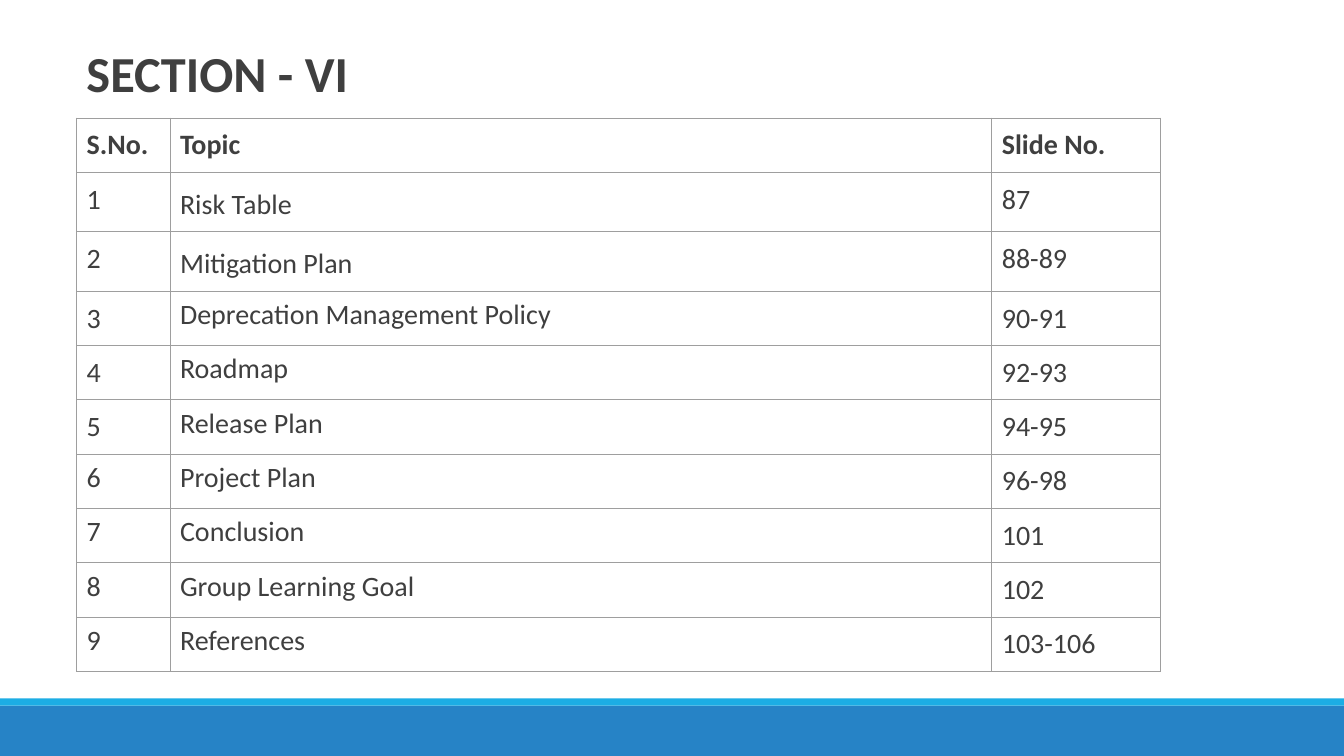
from dataclasses import dataclass

from lxml import etree
from pptx import Presentation
from pptx.dml.color import RGBColor
from pptx.enum.shapes import MSO_SHAPE
from pptx.enum.text import MSO_ANCHOR
from pptx.oxml.ns import qn
from pptx.slide import Slide
from pptx.table import _Cell
from pptx.text.text import TextFrame
from pptx.util import Pt

RECTANGLE = MSO_SHAPE.RECTANGLE
TOP, BOTTOM = MSO_ANCHOR.TOP, MSO_ANCHOR.BOTTOM

WHITE = RGBColor(0xFF, 0xFF, 0xFF)
INK = RGBColor(0x3F, 0x3F, 0x3F)
GRID = RGBColor(0x9E, 0x9E, 0x9E)
BLUE = RGBColor(0x26, 0x83, 0xC6)
CYAN = RGBColor(0x1C, 0xAD, 0xE4)

FONT = "Calibri"
SLIDE_WIDTH, SLIDE_HEIGHT = 960, 540
LEFT = 54.7
TABLE_TOP = 84.3
COLUMN_WIDTHS = (66.7, 587, 120.5)
CELL_INSET = 7.2
ROW_HEIGHT, TALL_ROW_HEIGHT = 38.8, 42.5
TIGHT, SINGLE, LOOSE = 0.85, 1.0, 1.15


@dataclass(frozen=True)
class FooterBand:
    top: float
    height: float
    color: RGBColor


@dataclass(frozen=True)
class AgendaRow:
    number: str
    topic: str
    slides: str
    number_spacing: float = SINGLE
    topic_spacing: float = TIGHT
    bold: bool = False

    @property
    def height(self) -> float:
        return TALL_ROW_HEIGHT if self.topic_spacing == LOOSE else ROW_HEIGHT


FOOTER_BANDS = (
    FooterBand(504, 36, BLUE),
    FooterBand(498.8, 5.2, CYAN),
)

AGENDA = (
    AgendaRow("S.No.", "Topic", "Slide No.", topic_spacing=SINGLE, bold=True),
    AgendaRow("1", "Risk Table", "87", topic_spacing=LOOSE),
    AgendaRow("2", "Mitigation Plan", "88-89", topic_spacing=LOOSE),
    AgendaRow("3", "Deprecation Management Policy", "90-91"),
    AgendaRow("4", "Roadmap", "92-93"),
    AgendaRow("5", "Release Plan", "94-95"),
    AgendaRow("6", "Project Plan", "96-98", number_spacing=TIGHT),
    AgendaRow("7", "Conclusion", "101", number_spacing=TIGHT),
    AgendaRow("8", "Group Learning Goal", "102", number_spacing=TIGHT),
    AgendaRow("9", "References", "103-106", number_spacing=TIGHT),
)


def write_text(frame: TextFrame, text: str, *, size: float = 20,
               bold: bool = False, spacing: float = SINGLE) -> None:
    paragraph = frame.paragraphs[0]
    paragraph.line_spacing = spacing
    run = paragraph.add_run()
    run.text = text
    run.font.name = FONT
    run.font.size = Pt(size)
    run.font.bold = bold
    run.font.color.rgb = INK


def draw_band(slide: Slide, band: FooterBand) -> None:
    shape = slide.shapes.add_shape(
        RECTANGLE, Pt(0), Pt(band.top), Pt(SLIDE_WIDTH), Pt(band.height))
    shape.shadow.inherit = False
    shape.fill.solid()
    shape.fill.fore_color.rgb = band.color
    shape.line.fill.background()


def draw_title(slide: Slide, text: str) -> None:
    title = slide.shapes.add_textbox(Pt(LEFT), Pt(28), Pt(225), Pt(49))
    frame = title.text_frame
    frame.word_wrap = True
    frame.vertical_anchor = BOTTOM
    write_text(frame, text, size=36, bold=True, spacing=TIGHT)


def add_borders(cell: _Cell) -> None:
    properties = cell._tc.get_or_add_tcPr()
    for position, side in enumerate(("lnL", "lnR", "lnT", "lnB")):
        border = etree.Element(qn(f"a:{side}"), w=str(int(Pt(0.75))))
        fill = etree.SubElement(border, qn("a:solidFill"))
        etree.SubElement(fill, qn("a:srgbClr"), val=str(GRID))
        properties.insert(position, border)


def format_cell(cell: _Cell) -> None:
    cell.margin_left = cell.margin_right = Pt(CELL_INSET)
    cell.margin_top = cell.margin_bottom = Pt(CELL_INSET)
    cell.vertical_anchor = TOP
    cell.fill.background()
    add_borders(cell)


def draw_agenda(slide: Slide, agenda: tuple[AgendaRow, ...]) -> None:
    table = slide.shapes.add_table(
        len(agenda), len(COLUMN_WIDTHS), Pt(LEFT), Pt(TABLE_TOP),
        Pt(sum(COLUMN_WIDTHS)), Pt(sum(row.height for row in agenda))).table
    table.first_row = False
    table.horz_banding = False
    for column, width in zip(table.columns, COLUMN_WIDTHS):
        column.width = Pt(width)
    for table_row, entry in zip(table.rows, agenda):
        table_row.height = Pt(entry.height)
        texts = (entry.number, entry.topic, entry.slides)
        spacings = (entry.number_spacing, entry.topic_spacing, SINGLE)
        for cell, text, spacing in zip(table_row.cells, texts, spacings):
            format_cell(cell)
            write_text(cell.text_frame, text, bold=entry.bold, spacing=spacing)


def main() -> None:
    presentation = Presentation()
    presentation.slide_width = Pt(SLIDE_WIDTH)
    presentation.slide_height = Pt(SLIDE_HEIGHT)
    slide = presentation.slides.add_slide(presentation.slide_layouts[6])
    slide.background.fill.solid()
    slide.background.fill.fore_color.rgb = WHITE
    for band in FOOTER_BANDS:
        draw_band(slide, band)
    draw_title(slide, "SECTION - VI")
    draw_agenda(slide, AGENDA)
    presentation.save("out.pptx")


if __name__ == "__main__":
    main()
